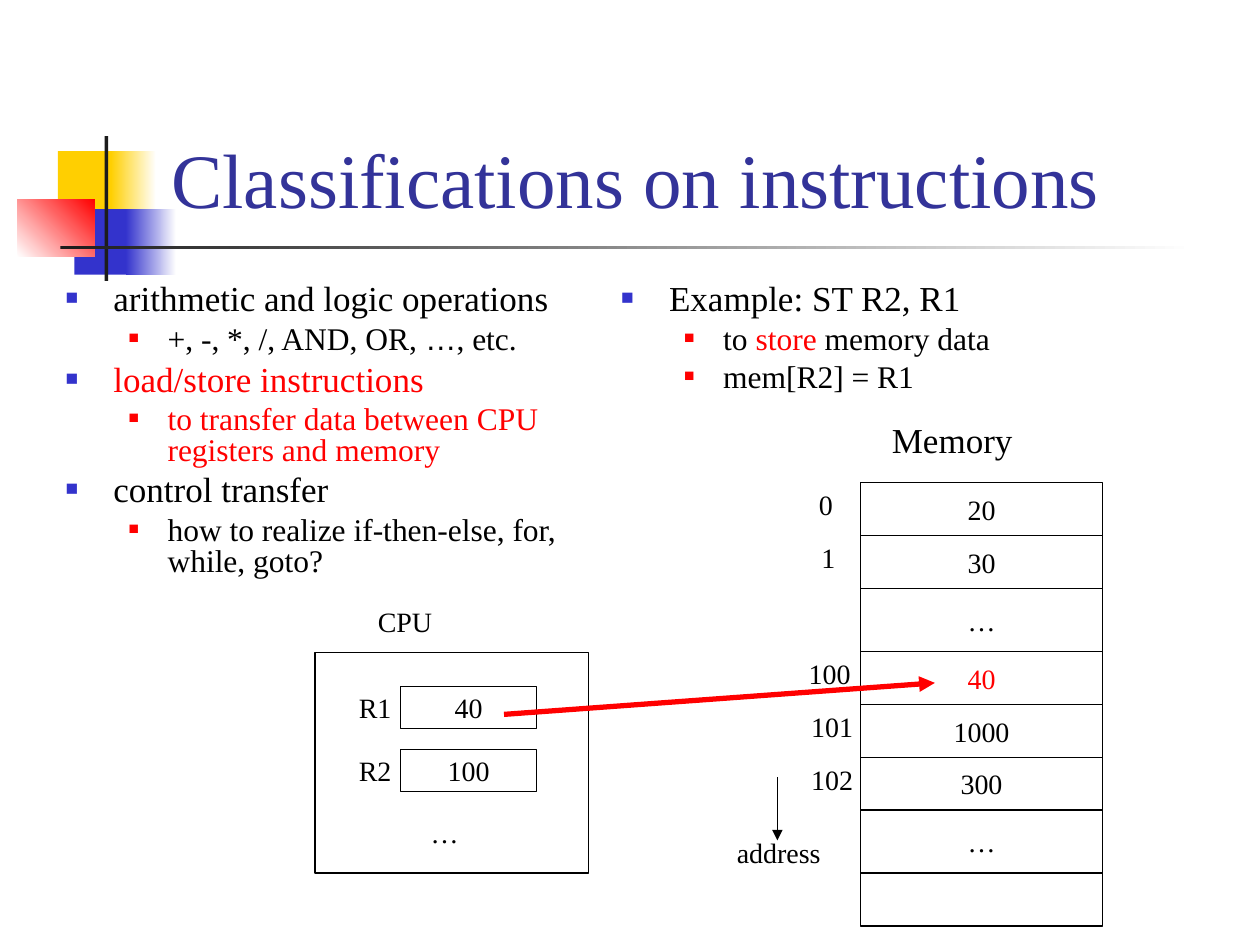
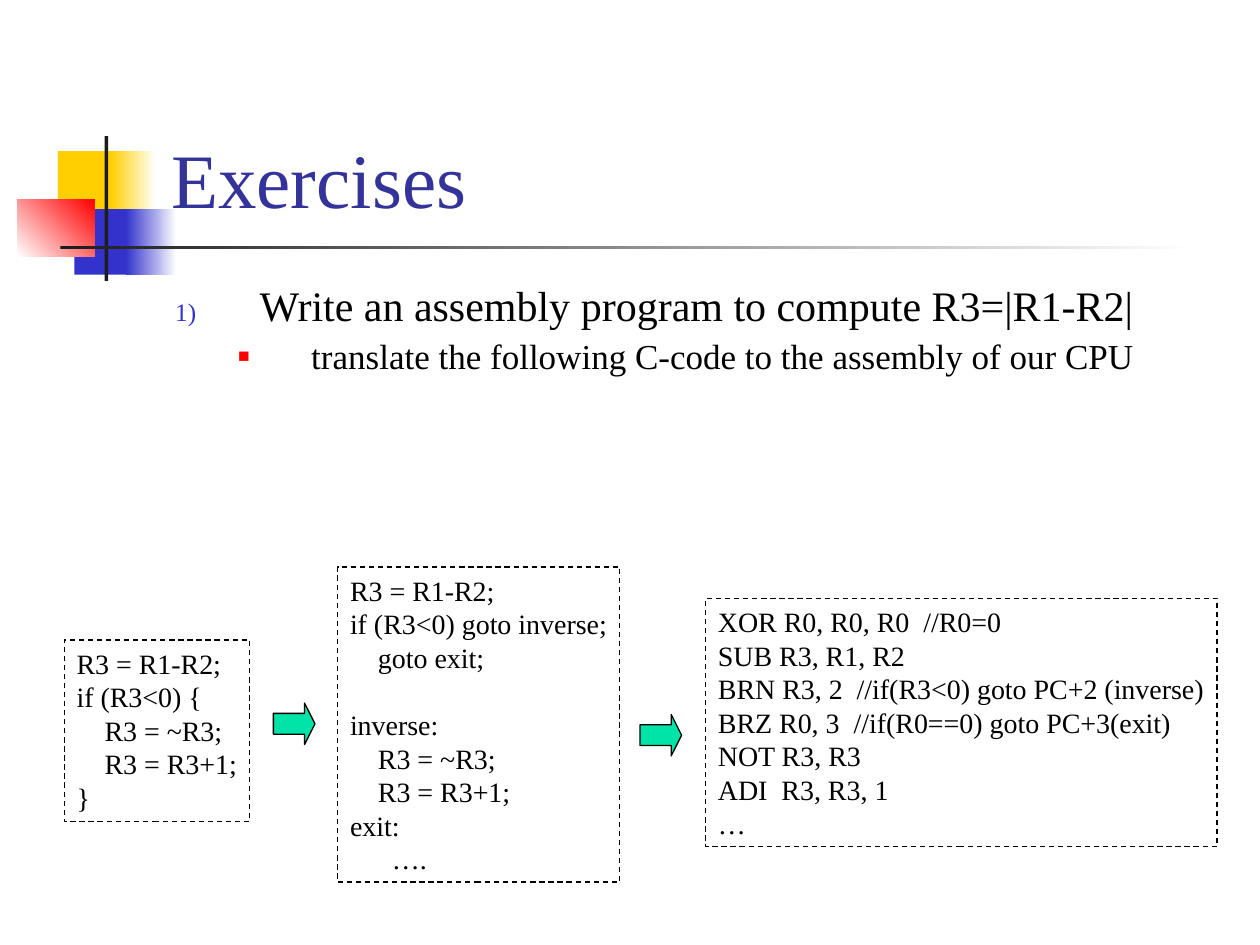
from lxml.etree import SubElement
from pptx import Presentation
from pptx.dml.color import RGBColor
from pptx.enum.dml import MSO_LINE
from pptx.enum.shapes import MSO_CONNECTOR, MSO_SHAPE
from pptx.enum.text import MSO_ANCHOR, MSO_AUTO_SIZE, PP_ALIGN
from pptx.oxml.ns import qn
from pptx.util import Inches, Pt

BLACK, WHITE, RED, BLUE = "000000", "FFFFFF", "FF0000", "3333CC"
YELLOW, DARK, TITLE_BLUE, GREEN = "FFCF01", "1C1C1C", "333399", "00E4A8"
SERIF = "Times New Roman"


def paint(shape, fills=(), line=None, angle=0):
    shape.shadow.inherit = False
    if len(fills) == 2:
        shape.fill.gradient()
        shape.fill.gradient_angle = angle
        for stop, colour in zip(shape.fill.gradient_stops, fills):
            stop.color.rgb = RGBColor.from_string(colour)
    elif fills:
        shape.fill.solid()
        shape.fill.fore_color.rgb = RGBColor.from_string(fills[0])
    else:
        shape.fill.background()
    if line:
        shape.line.color.rgb = RGBColor.from_string(line)
        shape.line.width = Pt(0.75)
    else:
        shape.line.fill.background()
    return shape


def write(frame, lines, size=16, colour=BLACK, align=PP_ALIGN.LEFT,
          anchor=MSO_ANCHOR.TOP, wrap=False):
    layout = {"word_wrap": wrap, "vertical_anchor": anchor,
              "auto_size": MSO_AUTO_SIZE.NONE,
              "margin_left": Inches(0.1), "margin_right": Inches(0.1),
              "margin_top": Inches(0.05), "margin_bottom": Inches(0.05)}
    for key, value in layout.items():
        setattr(frame, key, value)
    for number, line in enumerate(lines):
        paragraph = frame.add_paragraph() if number else frame.paragraphs[0]
        paragraph.alignment = align
        for text, changes in [(line, {})] if isinstance(line, str) else line:
            run = paragraph.add_run()
            run.text = text
            look = {"name": SERIF, "size": Pt(size), "bold": False} | changes
            run_colour = look.pop("colour", colour)
            for key, value in look.items():
                setattr(run.font, key, value)
            run.font.color.rgb = RGBColor.from_string(run_colour)


prs = Presentation()
prs.slide_width, prs.slide_height = Inches(10), Inches(7.5)
operations = prs.slides.add_slide(prs.slide_layouts[3])
exercises = prs.slides.add_slide(prs.slide_layouts[1])

decoration = [
    (0.46, 1.2, 0.48, 0.52, [YELLOW], 0),
    (0.88, 1.2, 0.36, 0.52, [YELLOW, WHITE], 0),
    (0.59, 1.66, 0.46, 0.52, [BLUE], 0),
    (1, 1.66, 0.4, 0.52, [BLUE, WHITE], 0),
    (0.14, 1.58, 0.61, 0.46, [WHITE, RED], 45),
    (0.83, 1.08, 0.03, 1.15, [DARK], 0),
    (0.48, 1.95, 9, 0.03, [DARK, WHITE], 0),
]
for position, (*box, fills, angle) in enumerate(decoration, start=2):
    band = operations.shapes.add_shape(MSO_SHAPE.RECTANGLE, *map(Inches, box))
    paint(band, fills, angle=angle)
    prs.slide_master.shapes.element.insert(position, band.element)

for slide, heading in [(operations, "Classifications on instructions"),
                       (exercises, "Exercises")]:
    title = slide.shapes.title
    for side, length in zip(("left", "top", "width", "height"), (1.26, 0.23, 8.52, 1.6)):
        setattr(title, side, Inches(length))
    write(title.text_frame, [heading], 44, TITLE_BLUE, anchor=MSO_ANCHOR.BOTTOM, wrap=True)

square = ("a:buChar", {"char": "■"})
number = ("a:buAutoNum", {"type": "arabicParenR"})
compact_levels = [(20, 0.38, 0.38, 5, BLUE, 60, square),
                  (18, 0.81, 0.31, 4.5, RED, 55, square)]
exercise_levels = [(24, 0.67, 0.67, 6, BLUE, 60, number),
                   (20, 1.08, 0.58, 5, RED, 55, square)]
red = {"colour": RED}
lists = [
    (operations.placeholders[1], (0.42, 2.21, 4.33, 2.46), 0.8, compact_levels, [
        (0, [("arithmetic and logic operations", {})]),
        (1, [("+, -, *, /, AND, OR, ", {}), ("…", {"name": "Arial"}), (", etc.", {})]),
        (0, [("load/store instructions", red)]),
        (1, [("to transfer data between CPU registers and memory", red)]),
        (0, [("control transfer", {})]),
        (1, [("how to realize if-then-else, for, while, goto?", {})]),
    ]),
    (operations.placeholders[2], (4.83, 2.21, 4.96, 1.13), 0.8, compact_levels, [
        (0, [("Example: ST R2, R1", {})]),
        (1, [("to ", {}), ("store", red), (" memory data", {})]),
        (1, [("mem[R2] = R1", {})]),
    ]),
    (exercises.placeholders[1], (1.29, 2.21, 8.5, 1.38), 0.9, exercise_levels, [
        (0, [("Write an assembly program to compute R3=|R1-R2|", {})]),
        (1, [("translate the following C-code to the assembly of our CPU", {})]),
    ]),
]
for body, box, spacing, levels, items in lists:
    for side, length in zip(("left", "top", "width", "height"), box):
        setattr(body, side, Inches(length))
    lines = [[(text, {"size": Pt(levels[level][0])} | look) for text, look in runs]
             for level, runs in items]
    write(body.text_frame, lines, wrap=True)
    for index, (level, runs) in enumerate(items):
        size, margin, hanging, before, colour, percent, (tag, mark) = levels[level]
        paragraph = body.text_frame.paragraphs[index]
        settings = {"level": level, "line_spacing": spacing,
                    "space_before": Pt(before if index else 0), "space_after": Pt(0)}
        for key, value in settings.items():
            setattr(paragraph, key, value)
        properties = paragraph._p.get_or_add_pPr()
        properties.set("marL", str(Inches(margin)))
        properties.set("indent", str(-Inches(hanging)))
        SubElement(SubElement(properties, qn("a:buClr")), qn("a:srgbClr"), val=colour)
        SubElement(properties, qn("a:buSzPct"), val=str(percent * 1000))
        SubElement(properties, qn("a:buFont"), typeface="Arial" if tag == "a:buChar" else SERIF)
        SubElement(properties, qn(tag), mark)

cells = [(2.5, 5.18, 2.17, 1.75, "", BLACK)]
labels = [("CPU", 2.9, 4.75, 0.63, 16), ("…", 3.32, 6.42, 0.42, 16),
          ("Memory", 6.98, 3.27, 1.16, 20), ("address", 5.75, 6.58, 0.86, 16)]
for row, (register, value) in enumerate([("R1", "40"), ("R2", "100")]):
    top = 5.45 + 0.5 * row
    cells.append((3.18, top, 1.08, 0.33, value, BLACK))
    labels.append((register, 2.75, top - 0.02, 0.46, 16))

memory = [("20", "0", 6.4), ("30", "1", 6.42), ("…", "", 0), ("40", "100", 6.32),
          ("1000", "101", 6.34), ("300", "102", 6.34), ("…", "", 0), ("", "", 0)]
top = 3.83
for value, address, left in memory:
    height = 0.5 if value == "…" else 0.42
    cells.append((6.83, top, 1.92, height, value, RED if address == "100" else BLACK))
    if address:
        labels.append((address, left, top - 0.01, 0.53 if len(address) == 3 else 0.31, 16))
    top += height

for *box, value, colour in cells:
    cell = operations.shapes.add_shape(MSO_SHAPE.RECTANGLE, *map(Inches, box))
    paint(cell, line=BLACK)
    if value:
        write(cell.text_frame, [value], 16, colour, PP_ALIGN.CENTER, MSO_ANCHOR.MIDDLE)

for text, left, top, width, size in labels:
    label = operations.shapes.add_textbox(*map(Inches, (left, top, width, 0.37)))
    write(label.text_frame, [text], size)

for ends, colour, weight in [((6.17, 6.17, 6.17, 6.67), BLACK, 0.75),
                             ((4, 5.67, 7.42, 5.42), RED, 3)]:
    arrow = operations.shapes.add_connector(MSO_CONNECTOR.STRAIGHT, *map(Inches, ends))
    arrow.line.color.rgb = RGBColor.from_string(colour)
    arrow.line.width = Pt(weight)
    outline = arrow.element.spPr.find(qn("a:ln"))
    SubElement(outline, qn("a:tailEnd"), type="triangle")
    SubElement(arrow.element.spPr, qn("a:effectLst"))

programs = [
    ((0.51, 5.08, 1.47, 1.44),
     ["R3 = R1-R2;", "if (R3<0) {", "    R3 = ~R3;", "    R3 = R3+1;", "}"]),
    ((2.68, 4.5, 2.24, 2.5),
     ["R3 = R1-R2;", "if (R3<0) goto inverse;", "    goto exit;", "inverse:",
      "    R3 = ~R3;", "    R3 = R3+1;", "exit:", "      …."]),
    ((5.6, 4.75, 4.06, 1.97),
     ["XOR R0, R0, R0  //R0=0", "SUB R3, R1, R2",
      "BRN R3, 2  //if(R3<0) goto PC+2 (inverse)",
      "BRZ R0, 3  //if(R0==0) goto PC+3(exit)", "NOT R3, R3", "ADI  R3, R3, 1", "…"]),
]
for box, code in programs:
    listing = exercises.shapes.add_shape(MSO_SHAPE.RECTANGLE, *map(Inches, box))
    paint(listing, line=BLACK)
    listing.line.dash_style = MSO_LINE.DASH
    write(listing.text_frame, code)
    for paragraph in listing.text_frame.paragraphs:
        if paragraph.text == "inverse:":
            paragraph.space_before = Pt(19.2)

for left, top in [(2.17, 5.58), (5.08, 5.67)]:
    step = exercises.shapes.add_shape(
        MSO_SHAPE.RIGHT_ARROW, *map(Inches, (left, top, 0.33, 0.33)))
    step.adjustments[0], step.adjustments[1] = 0.5, 0.25
    paint(step, [GREEN], BLACK)

prs.save("out.pptx")
